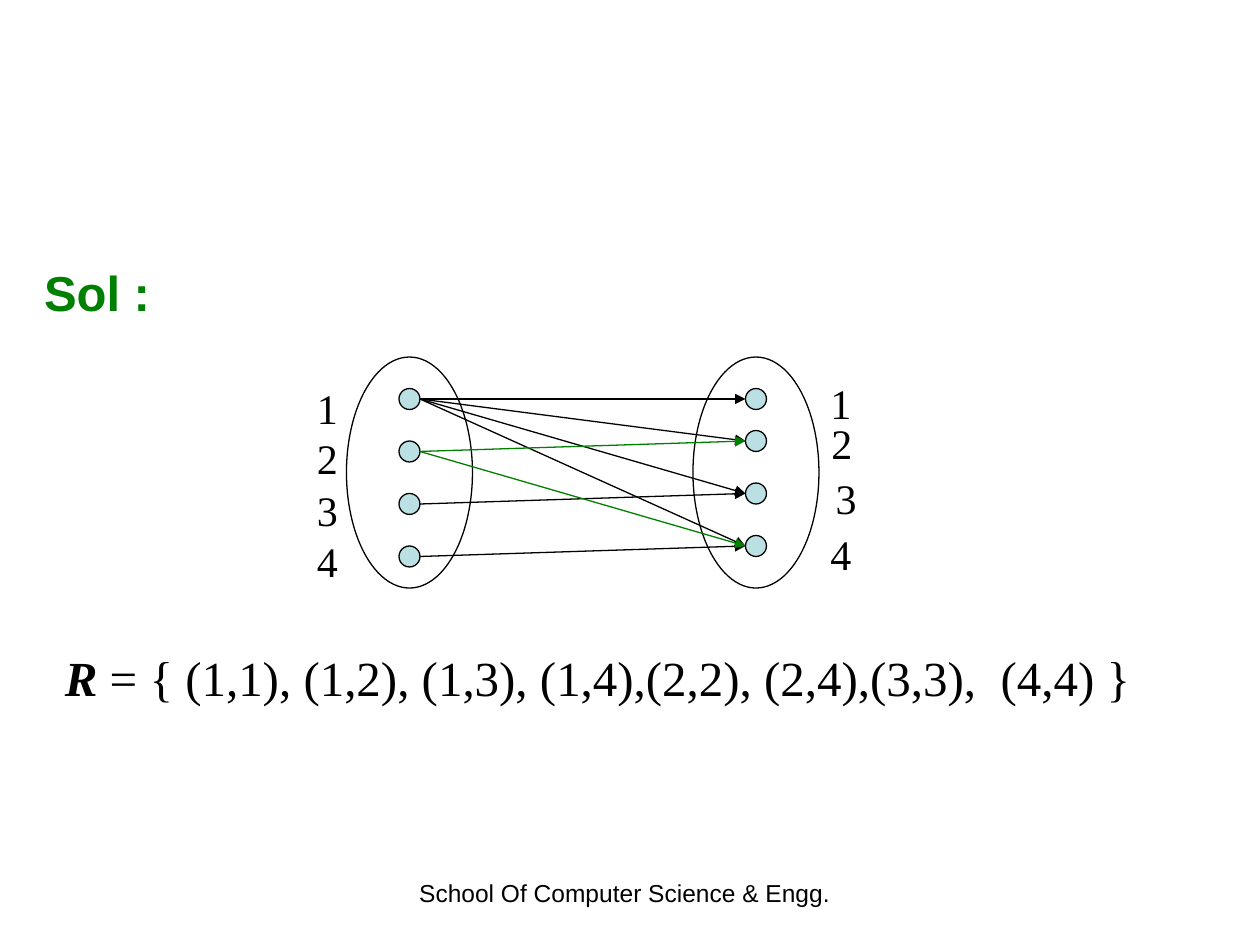
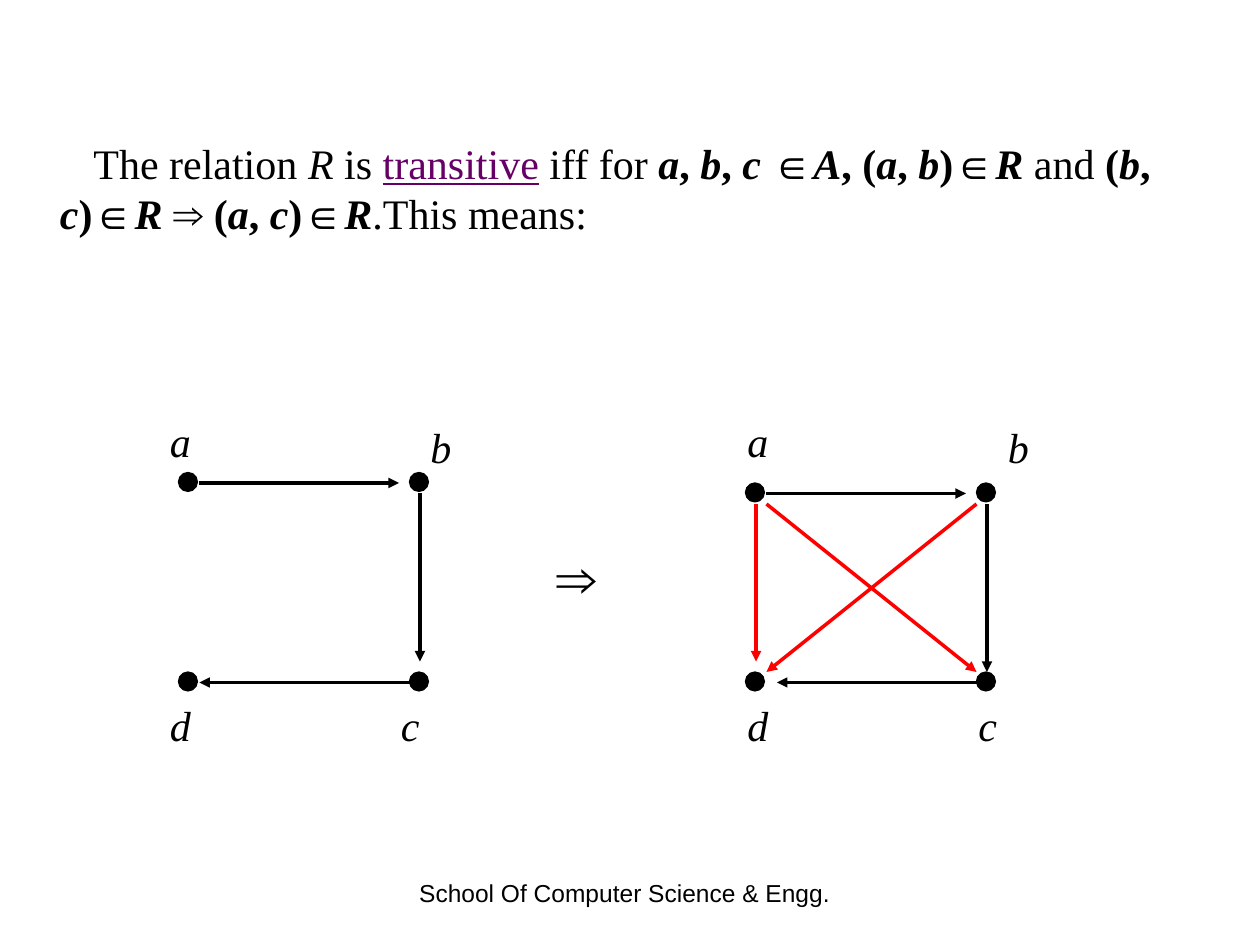
"""Build two slides on relations: a mapping diagram and the transitive property."""
import dataclasses

import lxml.etree
import pptx
import pptx.dml.color
import pptx.enum.shapes
import pptx.enum.text
import pptx.oxml.ns
import pptx.util


@dataclasses.dataclass(frozen=True)
class Theme:
    sans: str = "Arial"
    serif: str = "Times New Roman"
    black: str = "000000"
    green: str = "008000"
    purple: str = "660066"
    red: str = "FF0000"
    pale: str = "BBE0E3"
    small: int = 14
    text: int = 24
    large: int = 28
    sign: int = 32


theme = Theme()
scale = 7620
rgb = pptx.dml.color.RGBColor.from_string
qn = pptx.oxml.ns.qn


def px(*sizes):
    return [pptx.util.Emu(size * scale) for size in sizes]


def write(shape, parts, size, face=theme.serif, color=theme.black, wrap=True):
    frame = shape.text_frame
    frame.word_wrap = wrap
    frame.auto_size = pptx.enum.text.MSO_AUTO_SIZE.NONE
    para = frame.paragraphs[0]
    for words, style in parts:
        run = para.add_run()
        run.text = words
        font = run.font
        font.name, font.size = face, pptx.util.Pt(size)
        font.bold, font.italic = "b" in style, "i" in style
        font.underline = "u" in style
        font.color.rgb = rgb(theme.purple if "u" in style else color)
        if "w" in style:
            run._r.get_or_add_rPr().set("spc", "700")
    return para


deck = pptx.Presentation()
deck.slide_width, deck.slide_height = px(1200, 900)
layout = deck.slide_layouts[1]
map_slide = deck.slides.add_slide(layout)
rule_slide = deck.slides.add_slide(layout)

foot = map_slide.shapes.add_textbox(*px(300, 830, 590, 40))
para = write(foot, [("School Of Computer Science & Engg.", "")], theme.small, theme.sans)
para.alignment = pptx.enum.text.PP_ALIGN.CENTER
layout.shapes.element.append(foot.element)

rule = [
    ("The relation ", ""), ("R", "i"), (" is ", ""), ("transitive", "u"), (" iff for ", ""),
    ("a", "bi"), (", ", "b"), ("b", "bi"), (", ", "b"), ("c ", "bi"), ("∈", "b"),
    ("A", "bi"), (", (", "b"), ("a", "bi"), (", ", "b"), ("b", "bi"), (")∈", "b"),
    ("R", "bi"), (" and ", ""), ("(", "b"), ("b", "bi"), (", ", "b"), ("c", "bi"),
    (")∈", "b"), ("R", "bi"), (" ⇒ ", ""), ("(", "b"), ("a", "bi"), (", ", "b"),
    ("c", "bi"), (")∈", "b"), ("R", "bi"), (".This means:", ""),
]
bodies = [
    (map_slide, (30, 250, 140, 70), [("Sol :", "b")], theme.large, theme.sans, theme.green, -45, 0.9),
    (rule_slide, (0, 125, 1170, 215), rule, theme.text, theme.serif, theme.black, 32, 1.0),
]
for slide, box, parts, size, face, color, indent, pitch in bodies:
    title = slide.shapes.title.element
    title.getparent().remove(title)
    body = slide.placeholders[1]
    body.left, body.top, body.width, body.height = px(*box)
    props = body.text_frame.paragraphs[0]._p.get_or_add_pPr()
    props.set("marL", str(45 * scale))
    props.set("indent", str(indent * scale))
    lxml.etree.SubElement(props, qn("a:buNone"))
    para = write(body, parts, size, face, color)
    para.line_spacing = pitch
    para.space_before = pptx.util.Pt(0)

ovals, lines, labels = [], [], []

starts = [370, 420, 470, 520]
ends = [370, 410, 460, 510]
for left, tops in ((330, starts), (660, ends)):
    ovals.append((map_slide, (left, 340, 120, 220), None))
    ovals += [(map_slide, (left + 50, top, 20, 20), theme.pale) for top in tops]

pairs = [(1, 1), (1, 2), (1, 3), (1, 4), (3, 3), (4, 4), (2, 2), (2, 4)]
for source, goal in pairs:
    color = theme.green if source == 2 else theme.black
    points = (400, starts[source - 1] + 10, 710, ends[goal - 1] + 10)
    lines.append((map_slide, points, color, 0.75))

spots = [
    [(290, 358), (290, 406), (290, 456), (290, 504)],
    [(779, 354), (780, 392), (784, 444), (779, 497)],
]
for side in spots:
    for count, (left, top) in enumerate(side, 1):
        labels.append((map_slide, (left, top, 41, 48), str(count), "", theme.text))

for left, top in ((170, 450), (710, 460)):
    for across in (left, left + 220):
        for down in (top, 640):
            ovals.append((rule_slide, (across, down, 18, 18), theme.black))

for left in (150, 700):
    for name, across, top in (("a", 0, 390), ("b", 248, 396), ("c", 220, 660), ("d", 0, 660)):
        labels.append((rule_slide, (left + across, top, 44, 60), name, "i", theme.text))
labels.append((rule_slide, (518, 511, 77, 76), "⇒", "", theme.sign))

edges = [
    ((930, 480, 730, 640), theme.red, 2),
    ((720, 480, 720, 630), theme.red, 2),
    ((730, 480, 930, 640), theme.red, 2),
    ((190, 460, 380, 460), theme.black, 2),
    ((400, 470, 400, 630), theme.black, 2),
    ((390, 650, 190, 650), theme.black, 1.5),
    ((730, 470, 920, 470), theme.black, 2),
    ((940, 480, 940, 640), theme.black, 2),
    ((930, 650, 740, 650), theme.black, 1.5),
]
lines += [(rule_slide, *edge) for edge in edges]

for slide, box, fill in ovals:
    oval = slide.shapes.add_shape(pptx.enum.shapes.MSO_SHAPE.OVAL, *px(*box))
    oval.shadow.inherit = False
    oval.line.color.rgb = rgb(theme.black)
    oval.line.width = pptx.util.Pt(0.75)
    if fill:
        oval.fill.solid()
        oval.fill.fore_color.rgb = rgb(fill)
    else:
        oval.fill.background()

for slide, points, color, width in lines:
    arrow = slide.shapes.add_connector(pptx.enum.shapes.MSO_CONNECTOR.STRAIGHT, *px(*points))
    arrow.line.color.rgb = rgb(color)
    arrow.line.width = pptx.util.Pt(width)
    props = arrow.element.spPr
    lxml.etree.SubElement(props.find(qn("a:ln")), qn("a:tailEnd"), type="triangle")
    lxml.etree.SubElement(props, qn("a:effectLst"))

for slide, box, words, style, size in labels:
    write(slide.shapes.add_textbox(*px(*box)), [(words, style)], size, wrap=False)

answer = [
    ("R", "bi"),
    (" = { (1,1), (1,2), (1,3), (1,4),(2,2), (2,4),(3,3),", ""),
    (" ", "w"),
    ("(4,4) }", ""),
]
write(map_slide.shapes.add_textbox(*px(50, 611, 1120, 68)), answer, theme.large)

deck.save("out.pptx")
